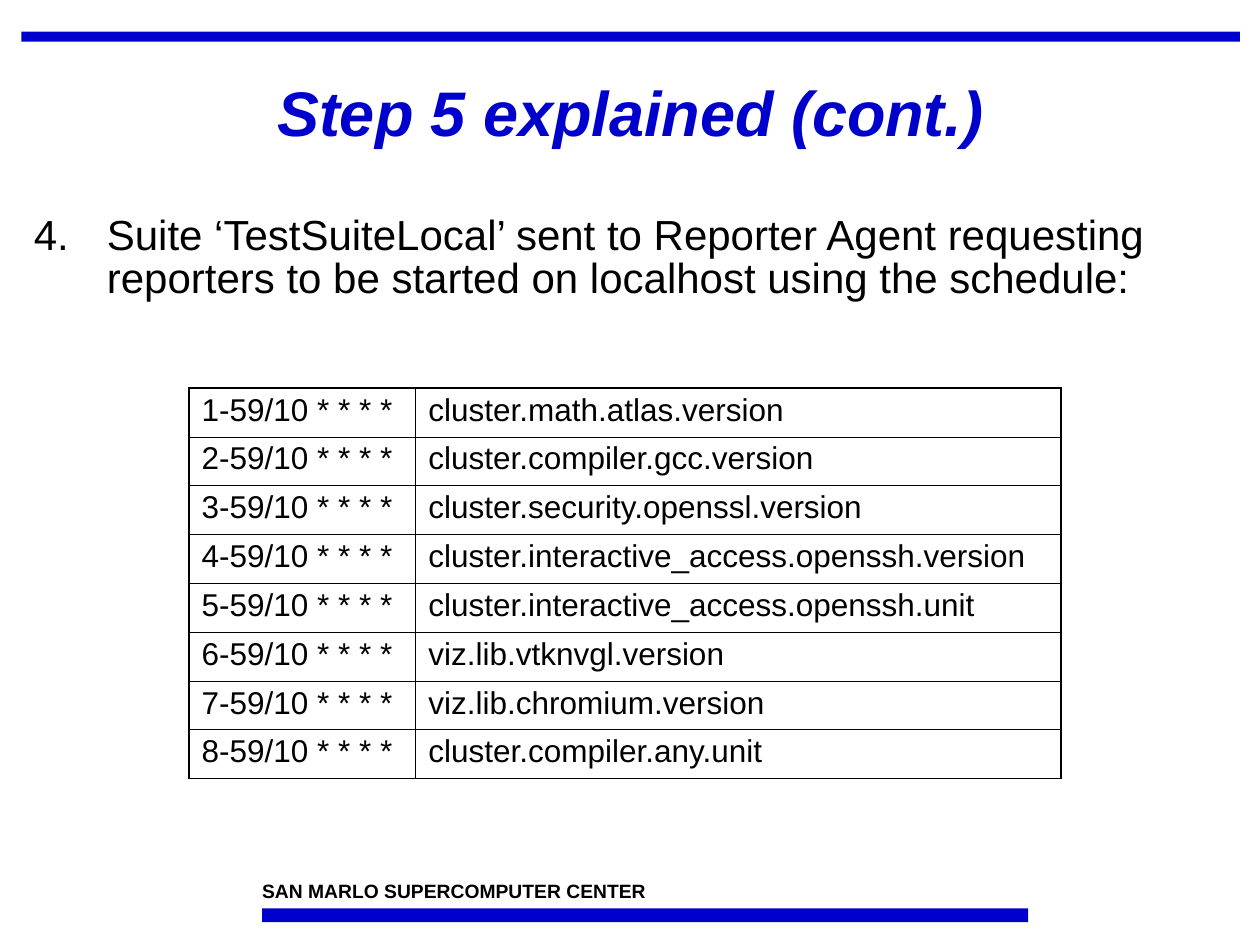
from dataclasses import dataclass
from lxml import etree
from pptx import Presentation
from pptx.dml.color import RGBColor
from pptx.enum.shapes import MSO_SHAPE
from pptx.enum.text import MSO_ANCHOR, PP_ALIGN
from pptx.oxml.ns import qn
from pptx.util import Inches, Pt

RECT = MSO_SHAPE.RECTANGLE
TOP, MIDDLE = MSO_ANCHOR.TOP, MSO_ANCHOR.MIDDLE
LEFT, CENTER = PP_ALIGN.LEFT, PP_ALIGN.CENTER


@dataclass(frozen=True)
class Theme:
    """Hold the colours, type sizes and line widths."""
    font: str = "Arial"
    blue: str = "0000CC"
    black: str = "000000"
    title: int = 36
    body: int = 24
    cell: int = 18
    foot: int = 11
    outer: float = 1.08
    inner: float = 0.45


THEME = Theme()
REPORTERS = [
    "cluster.math.atlas.version",
    "cluster.compiler.gcc.version",
    "cluster.security.openssl.version",
    "cluster.interactive_access.openssh.version",
    "cluster.interactive_access.openssh.unit",
    "viz.lib.vtknvgl.version",
    "viz.lib.chromium.version",
    "cluster.compiler.any.unit",
]


def apply(target, values):
    """Set each attribute named in a dict."""
    for name, value in values.items():
        setattr(target, name, value)


def write(frame, text, size, color=THEME.black, font=None, para=None):
    """Fill a text frame with one styled paragraph and return it."""
    line = frame.paragraphs[0]
    apply(line, para or {})
    run = line.add_run()
    run.text = text
    apply(run.font, {"name": THEME.font, "size": Pt(size), **(font or {})})
    run.font.color.rgb = RGBColor.from_string(color)
    return line


def add_frame(slide, box, anchor=TOP, inset=(0.1, 0.05)):
    """Add a wrapping text box and return its frame."""
    frame = slide.shapes.add_textbox(*map(Inches, box)).text_frame
    side, edge = map(Inches, inset)
    apply(frame, {"word_wrap": True, "vertical_anchor": anchor,
                  "margin_left": side, "margin_right": side,
                  "margin_top": edge, "margin_bottom": edge})
    return frame


def add_bar(slide, box):
    """Add a solid blue bar."""
    bar = slide.shapes.add_shape(RECT, *map(Inches, box))
    bar.shadow.inherit = False
    bar.fill.solid()
    bar.fill.fore_color.rgb = RGBColor.from_string(THEME.blue)
    bar.line.fill.background()


def add_title(slide, box, text):
    """Add the top bar with the centred title below it."""
    left, top, width, height = box
    add_bar(slide, (left, top, width, 0.08))
    frame = add_frame(slide, (left, top + 0.17, width, height - 0.17), MIDDLE)
    write(frame, text, THEME.title, THEME.blue, {"bold": True, "italic": True},
          {"alignment": CENTER, "line_spacing": 0.9})


def add_step(slide, box, text, start):
    """Add a numbered step with a hanging indent."""
    line = write(add_frame(slide, box), text, THEME.body,
                 para={"alignment": LEFT, "line_spacing": 0.85,
                       "space_before": Pt(6)})
    props = line._p.get_or_add_pPr()
    indent = Inches(0.58)
    props.set("marL", str(indent))
    props.set("indent", str(-indent))
    etree.SubElement(props, qn("a:buFont"), typeface=THEME.font)
    etree.SubElement(props, qn("a:buAutoNum"), type="arabicPeriod",
                     startAt=str(start))


def add_edge(cell, side, width):
    """Draw one border of a cell."""
    edge = etree.SubElement(cell._tc.get_or_add_tcPr(), qn(f"a:ln{side}"),
                            w=str(Pt(width)))
    fill = etree.SubElement(edge, qn("a:solidFill"))
    etree.SubElement(fill, qn("a:srgbClr"), val=THEME.black)


def add_grid(slide, box, rows, widths):
    """Add the schedule table with a heavier outer frame."""
    count, span = len(rows), len(widths)
    table = slide.shapes.add_table(count, span, *map(Inches, box)).table
    apply(table, {"first_row": False, "horz_banding": False})
    for column, width in zip(table.columns, widths):
        column.width = Inches(width)
    for r, row in enumerate(rows):
        table.rows[r].height = Inches(box[3] / count)
        for c, text in enumerate(row):
            cell = table.cell(r, c)
            write(cell.text_frame, text, THEME.cell,
                  para={"line_spacing": 0.95, "space_before": Pt(4.5)})
            outer = {"L": c == 0, "R": c == span - 1,
                     "T": r == 0, "B": r == count - 1}
            for side, heavy in outer.items():
                add_edge(cell, side, THEME.outer if heavy else THEME.inner)
            cell.fill.background()


def add_footer(slide, box, text):
    """Add the centre name above the bottom bar."""
    left, top, width, height = box
    frame = add_frame(slide, (left, top, 3.75, 0.18), inset=(0, 0))
    write(frame, text, THEME.foot, font={"bold": True})
    add_bar(slide, (left, top + height - 0.11, width, 0.11))


def build():
    """Build and save the slide."""
    deck = Presentation()
    apply(deck, {"slide_width": Inches(10), "slide_height": Inches(7.5)})
    slide = deck.slides.add_slide(deck.slide_layouts[6])
    add_title(slide, (0.17, 0.25, 9.67, 1.17), "Step 5 explained (cont.)")
    add_step(slide, (0.17, 1.67, 9.5, 1.33),
             "Suite ‘TestSuiteLocal’ sent to Reporter Agent requesting "
             "reporters to be started on localhost using the schedule:", 4)
    rows = [(f"{n}-59/10 * * * *", name)
            for n, name in enumerate(REPORTERS, 1)]
    add_grid(slide, (1.5, 3.08, 6.92, 3.1), rows, (1.8, 5.12))
    add_footer(slide, (2.08, 6.98, 6.08, 0.34),
               "SAN MARLO SUPERCOMPUTER CENTER")
    deck.save("out.pptx")


build()
